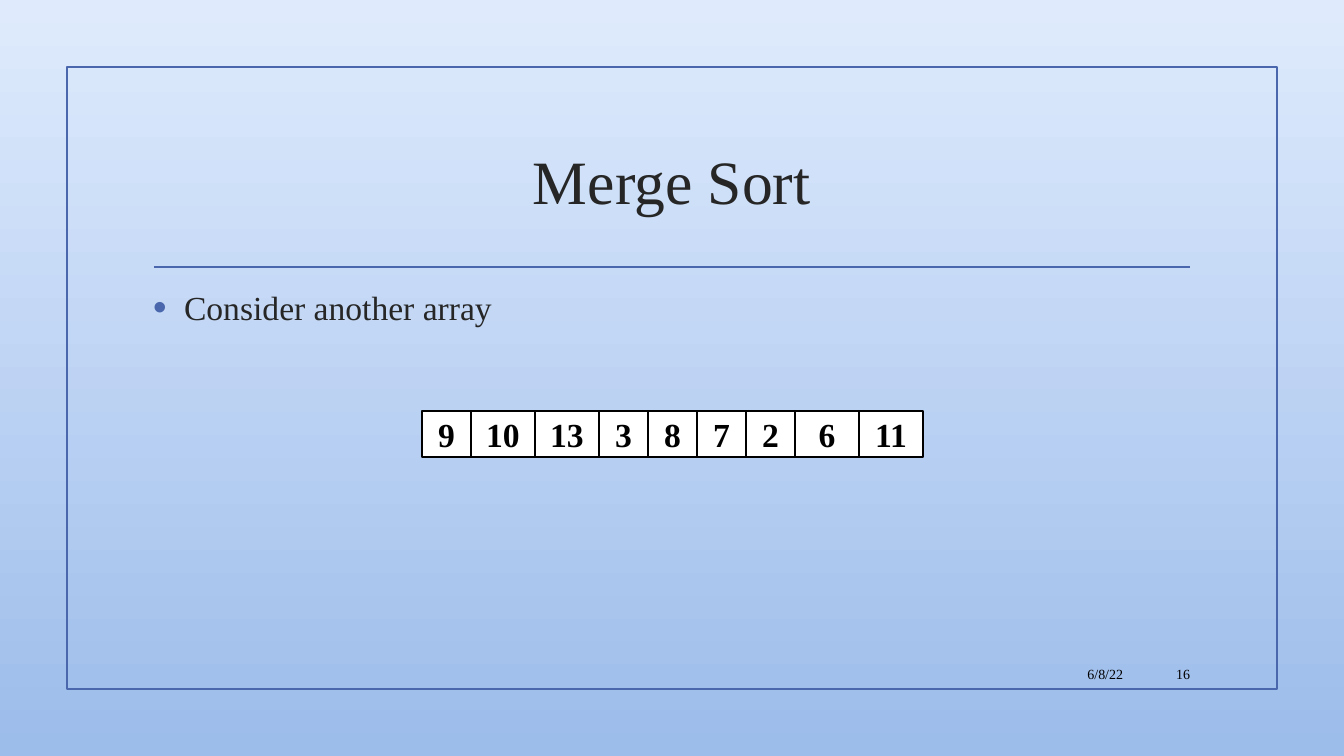
"""Build the Merge Sort slide with its array of nine numbers."""
from lxml.etree import SubElement as Sub
from pptx import Presentation
from pptx.dml.color import RGBColor
from pptx.enum.shapes import MSO_CONNECTOR as Conn, MSO_SHAPE as Kind
from pptx.enum.text import MSO_ANCHOR as Anchor, MSO_AUTO_SIZE as Fit, PP_ALIGN as Align
from pptx.oxml.ns import qn
from pptx.util import Emu, Pt

SCALE = 12192000 / 1344
BLUE, INK, BLACK, WHITE = "4A66AC", "262626", "000000", "FFFFFF"


def px(*nums):
    """Turn pixel lengths into EMU."""
    return [Emu(round(num * SCALE)) for num in nums]


def write(shape, text, size, color, align, anchor=Anchor.MIDDLE, bold=False):
    """Put one formatted run into a shape and return its paragraph."""
    frame = shape.text_frame
    frame.word_wrap = True
    frame.auto_size = Fit.NONE
    frame.vertical_anchor = anchor
    para = frame.paragraphs[0]
    para.alignment = align
    run = para.add_run()
    run.text = text
    font = run.font
    font.name, font.size, font.bold = "Times New Roman", Pt(size), bold
    font.color.rgb = RGBColor.from_string(color)
    return para


deck = Presentation()
deck.slide_width, deck.slide_height = px(1344, 756)
slide = deck.slides.add_slide(deck.slide_layouts[1])
shapes = slide.shapes

fill = slide.background.fill
fill.gradient()
fill.gradient_angle = 270
for stop, color in zip(fill.gradient_stops, ("DFEBFD", "9CBCEA")):
    stop.color.rgb = RGBColor.from_string(color)

border = shapes.add_shape(Kind.RECTANGLE, *px(67, 67, 1210, 622))
border.shadow.inherit = False
border.fill.background()
rule = shapes.add_connector(Conn.STRAIGHT, *px(154, 267, 1190, 267))
Sub(rule._element.spPr, qn("a:effectLst"))
for item in (border, rule):
    item.line.color.rgb = RGBColor.from_string(BLUE)
    item.line.width = Pt(1.25)

title, body = shapes.title, slide.placeholders[1]
title.left, title.top, title.width, title.height = px(143, 108, 1058, 144)
body.left, body.top, body.width, body.height = px(143, 282, 1058, 366)
write(title, "Merge Sort", 44, INK, Align.CENTER)
point = write(body, "Consider another array", 24, INK, Align.LEFT, Anchor.TOP)
point.space_after = Pt(6)
props = point._p.get_or_add_pPr()
indent = px(31)[0]
props.set("marL", str(indent))
props.set("indent", str(-indent))
Sub(Sub(props, qn("a:buClr")), qn("a:srgbClr"), val=BLUE)
Sub(props, qn("a:buSzPct"), val="115000")
Sub(props, qn("a:buFont"), typeface="Arial")
Sub(props, qn("a:buChar"), char="•")

left = 422
wide = {"10", "13", "6", "11"}
for value in ("9", "10", "13", "3", "8", "7", "2", "6", "11"):
    width = 64 if value in wide else 49
    cell = shapes.add_shape(Kind.RECTANGLE, *px(left, 411, width, 46))
    cell.shadow.inherit = False
    cell.fill.solid()
    cell.fill.fore_color.rgb = RGBColor.from_string(WHITE)
    cell.line.color.rgb = RGBColor.from_string(BLACK)
    cell.line.width = Pt(1.25)
    write(cell, value, 24, BLACK, Align.CENTER, bold=True)
    left += width

for text, start, width in (("6/8/22", 957, 176), ("16", 1141, 59)):
    box = shapes.add_textbox(*px(start, 658, width, 31))
    write(box, text, 10, BLACK, Align.RIGHT)

deck.save("out.pptx")
